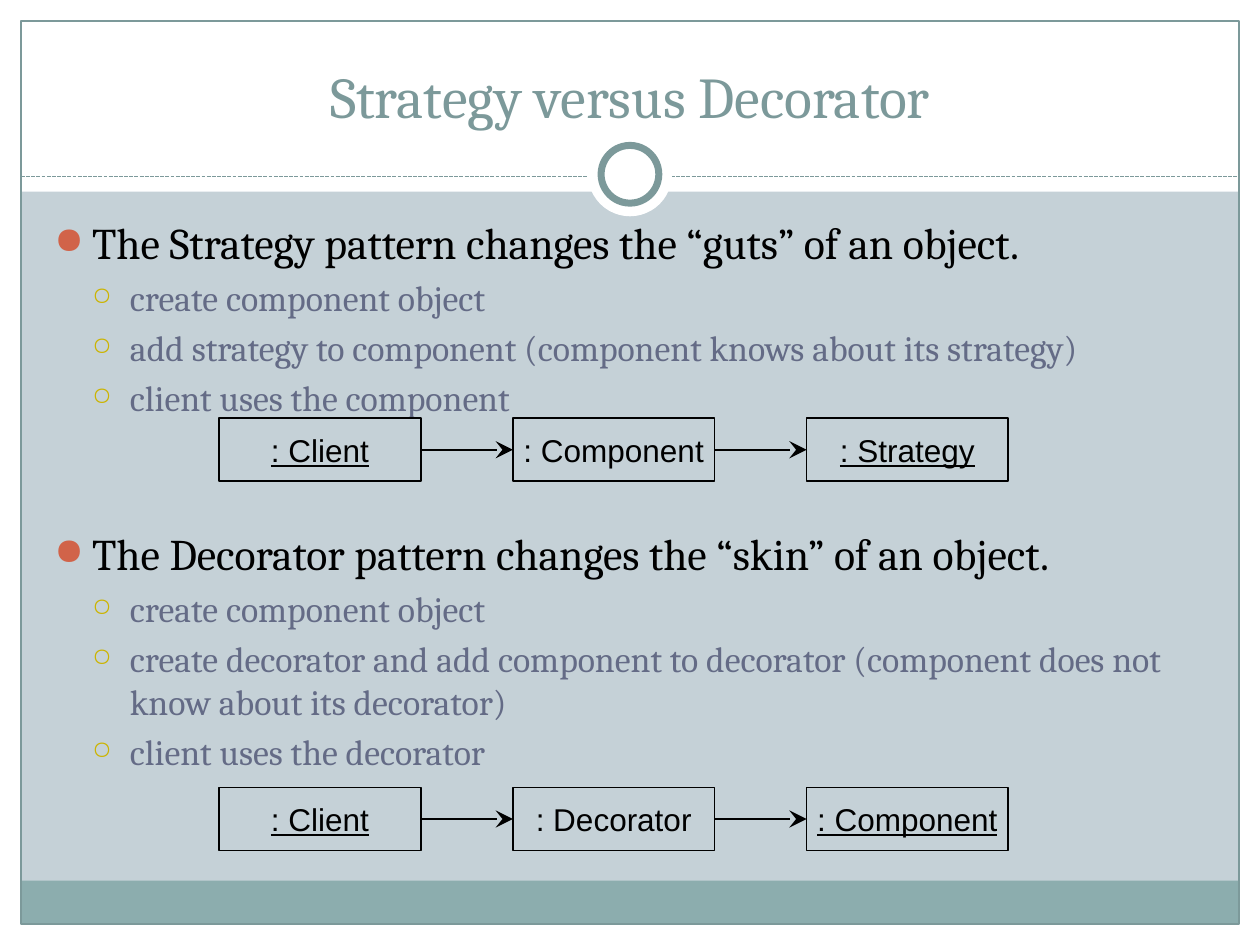
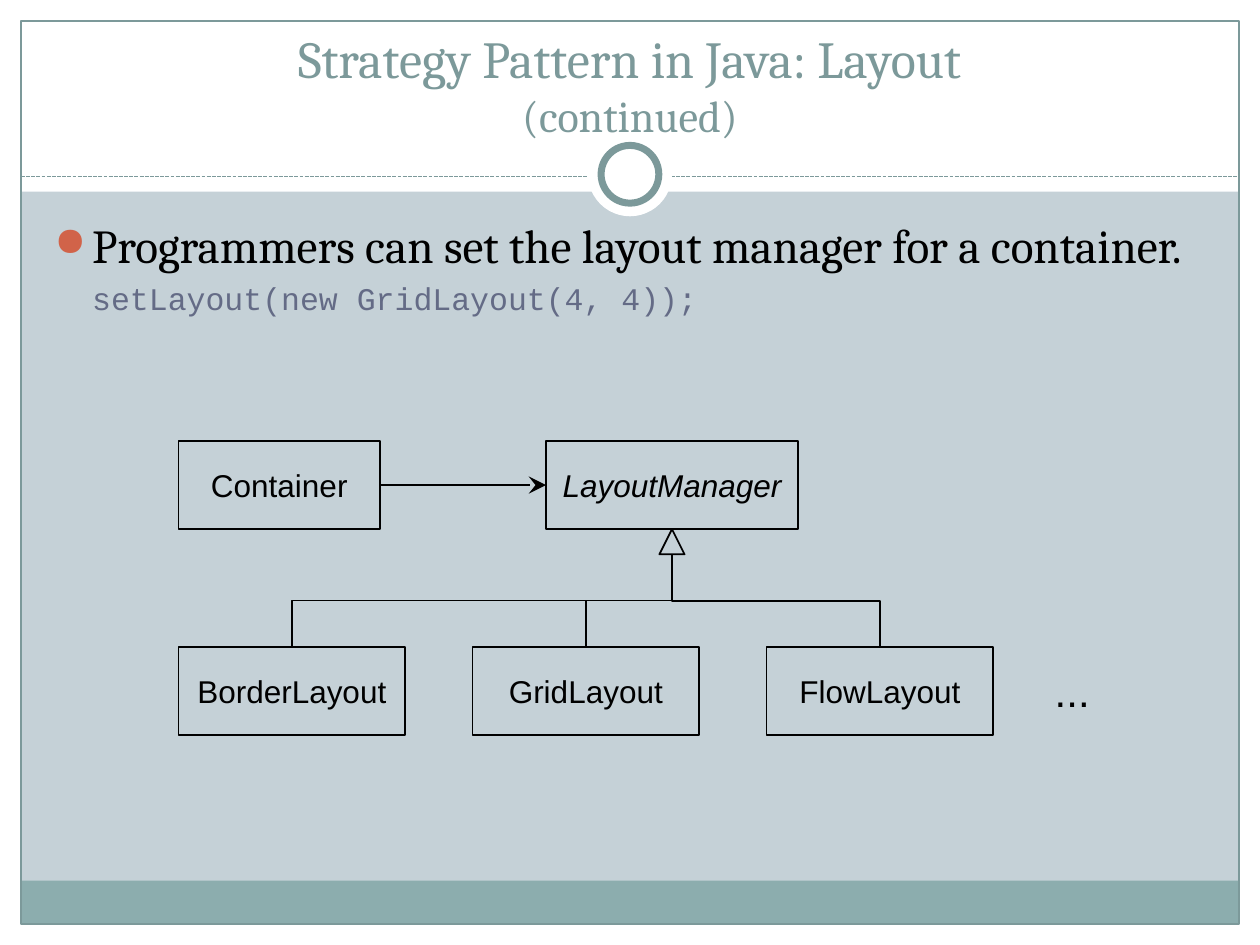
from lxml import etree
from pptx import Presentation
from pptx.dml.color import RGBColor
from pptx.enum.dml import MSO_LINE
from pptx.enum.shapes import MSO_CONNECTOR, MSO_SHAPE
from pptx.enum.text import MSO_ANCHOR, PP_ALIGN
from pptx.oxml.ns import qn
from pptx.util import Pt

RECT = MSO_SHAPE.RECTANGLE
OVAL = MSO_SHAPE.OVAL
PEAK = MSO_SHAPE.ISOSCELES_TRIANGLE
LINE = MSO_CONNECTOR.STRAIGHT
ELBOW = MSO_CONNECTOR.ELBOW
DASH = MSO_LINE.SQUARE_DOT
LEFT, MID = PP_ALIGN.LEFT, PP_ALIGN.CENTER
TOP, CENTER, LOW = MSO_ANCHOR.TOP, MSO_ANCHOR.MIDDLE, MSO_ANCHOR.BOTTOM

WHITE = RGBColor(0xFF, 0xFF, 0xFF)
BLACK = RGBColor(0, 0, 0)
MIST = RGBColor(0xC5, 0xD1, 0xD7)
TEAL = RGBColor(0x7C, 0x99, 0x9A)
BAND = RGBColor(0x8C, 0xAD, 0xAE)
SLATE = RGBColor(0x64, 0x6B, 0x86)
RED = RGBColor(0xD1, 0x63, 0x49)
GOLD = RGBColor(0xCC, 0xB4, 0x00)

SERIF, SANS, MONO = "Cambria", "Arial", "Courier New"
WIDE, HIGH, EDGE = 720, 540, 12
STEP = 21.6


def write(par, text, size=18, font=SANS, color=BLACK, under=None, slant=None):
    run = par.add_run()
    run.text = text
    face = run.font
    face.size, face.name = Pt(size), font
    face.color.rgb = color
    face.underline, face.italic = under, slant


def add_text(slide, x, y, w, h, anchor=TOP, wrap=True):
    frame = slide.shapes.add_textbox(Pt(x), Pt(y), Pt(w), Pt(h)).text_frame
    frame.word_wrap = wrap
    frame.vertical_anchor = anchor
    return frame


def add_shape(slide, kind, x, y, w, h, fill=None, line=None, weight=1):
    shape = slide.shapes.add_shape(kind, Pt(x), Pt(y), Pt(w), Pt(h))
    shape.shadow.inherit = False
    if fill is None:
        shape.fill.background()
    else:
        shape.fill.solid()
        shape.fill.fore_color.rgb = fill
    if line is None:
        shape.line.fill.background()
    else:
        shape.line.color.rgb = line
        shape.line.width = Pt(weight)
    return shape


def add_line(slide, x1, y1, x2, y2, kind=LINE, color=BLACK, weight=1):
    link = slide.shapes.add_connector(kind, Pt(x1), Pt(y1), Pt(x2), Pt(y2))
    link.line.color.rgb = color
    link.line.width = Pt(weight)
    etree.SubElement(link.element.spPr, qn("a:effectLst"))
    return link


def add_arrow(slide, x1, x2, y):
    link = add_line(slide, x1, y, x2, y)
    stroke = link.element.spPr.find(qn("a:ln"))
    etree.SubElement(stroke, qn("a:tailEnd"), type="stealth", w="lg", len="lg")


def add_branch(slide, x1, y1, x2, y2):
    mid_x, mid_y = (x1 + x2) / 2, (y1 + y2) / 2
    run, drop = (x1 - x2) / 2, (y2 - y1) / 2
    link = add_line(slide, mid_x - drop, mid_y - run,
                    mid_x + drop, mid_y + run, ELBOW)
    link.element.spPr.find(qn("a:xfrm")).set("rot", "5400000")


def add_box(slide, text, x, y, w, h, **style):
    frame = add_shape(slide, RECT, x, y, w, h, line=BLACK).text_frame
    frame.word_wrap = False
    frame.vertical_anchor = CENTER
    par = frame.paragraphs[0]
    par.alignment = MID
    write(par, text, **style)


def add_disc(slide, size, **style):
    add_shape(slide, OVAL, WIDE / 2 - size / 2, 99.6 - size / 2,
              size, size, WHITE, **style)


def add_title(slide, y, *lines):
    par = add_text(slide, 24, y, 672, 60, LOW).paragraphs[0]
    par.alignment = MID
    for rank, (text, size) in enumerate(lines):
        if rank:
            par.add_line_break()
        write(par, text, size=size, font=SERIF, color=TEAL)


def add_item(frame, text, level=0, mark=True, gap=None, **style):
    first = frame.paragraphs[0]
    par = frame.add_paragraph() if first.runs else first
    par.alignment = LEFT
    par.level = level
    par.space_before = Pt(style["size"] * 0.2 if gap is None else gap)
    props = par._p.get_or_add_pPr()
    props.set("marL", str(Pt(STEP * (level + 1))))
    props.set("indent", str(Pt(-STEP)))
    if mark:
        sign, tint, scale = (("●", RED, 85), ("○", GOLD, 70))[level]
        color = etree.SubElement(props, qn("a:buClr"))
        etree.SubElement(color, qn("a:srgbClr"), val=str(tint))
        etree.SubElement(props, qn("a:buSzPct"), val=str(scale * 1000))
        etree.SubElement(props, qn("a:buChar"), char=sign)
    else:
        etree.SubElement(props, qn("a:buNone"))
    write(par, text, **style)


def add_body(slide):
    return add_text(slide, 24, 120, 670, 360)


def new_slide(deck):
    slide = deck.slides.add_slide(deck.slide_layouts[6])
    back = slide.background.fill
    back.solid()
    back.fore_color.rgb = MIST
    inner = WIDE - 2 * EDGE
    for x, y, w, h in ((0, HIGH - EDGE, WIDE, EDGE), (0, 0, WIDE, 109.5),
                       (0, 0, EDGE, HIGH), (WIDE - EDGE, 0, EDGE, HIGH)):
        add_shape(slide, RECT, x, y, w, h, WHITE)
    add_shape(slide, RECT, EDGE, 503.3, inner, 24.5, BAND)
    add_shape(slide, RECT, EDGE, EDGE, inner, HIGH - 2 * EDGE,
              line=TEAL, weight=0.75)
    rule = add_line(slide, EDGE, 100.8, WIDE - EDGE, 100.8,
                    color=TEAL, weight=0.75)
    rule.line.dash_style = DASH
    add_disc(slide, 48)
    add_disc(slide, 33, line=TEAL, weight=4)
    return slide


def add_chain(slide, y, names):
    left, pitch, w, h = 125.3, 167.8, 115.2, 36
    for rank, name in enumerate(names):
        x = left + rank * pitch
        add_box(slide, name, x, y, w, h, under=True if rank != 1 else None)
        if rank:
            add_arrow(slide, x - pitch + w, x, y + h / 2)


def versus(deck):
    slide = new_slide(deck)
    add_title(slide, 18, ("Strategy versus Decorator", 33))
    body = add_body(slide)
    topics = (
        ("The Strategy pattern changes the “guts” of an object.", None,
         ("create component object",
          "add strategy to component (component knows about its strategy)",
          "client uses the component")),
        ("The Decorator pattern changes the “skin” of an object.", 62,
         ("create component object",
          "create decorator and add component to decorator "
          "(component does not know about its decorator)",
          "client uses the decorator")))
    for head, gap, steps in topics:
        add_item(body, head, gap=gap, size=25, font=SERIF)
        for step in steps:
            add_item(body, step, 1, size=20.4, font=SERIF, color=SLATE)
    add_chain(slide, 239, (": Client", ": Component", ": Strategy"))
    add_chain(slide, 450, (": Client", ": Decorator", ": Component"))


def layout(deck):
    slide = new_slide(deck)
    add_title(slide, 24.5, ("Strategy Pattern in Java: Layout", 29.7),
              ("(continued)", 25.2))
    body = add_body(slide)
    add_item(body, "Programmers can set the layout manager for a container.",
             size=27, font=SERIF)
    add_item(body, "setLayout(new GridLayout(4, 4));", 1, False,
             size=18, font=MONO, color=SLATE)

    left, top, low, h = 102, 252, 369.6, 50.4
    base, peak, apex = 312, 14.4, 384
    add_box(slide, "Container", left, top, 115.2, h)
    add_box(slide, "LayoutManager", base, top, 144, h, slant=True)
    add_arrow(slide, left + 115.2, base, top + h / 2)
    add_shape(slide, PEAK, apex - peak / 2, top + h, peak, peak, line=BLACK)
    kinds = ("BorderLayout", "GridLayout", "FlowLayout")
    for rank, name in enumerate(kinds):
        x = left + rank * 168
        add_box(slide, name, x, low, 129.6, h)
        add_branch(slide, apex, top + h + peak, x + 64.8, low)
    par = add_text(slide, 595.4, 376.6, 34.6, 36, wrap=False).paragraphs[0]
    par.alignment = MID
    write(par, "...", size=24)


def main():
    deck = Presentation()
    deck.slide_width, deck.slide_height = Pt(WIDE), Pt(HIGH)
    versus(deck)
    layout(deck)
    deck.save("out.pptx")


if __name__ == "__main__":
    main()
